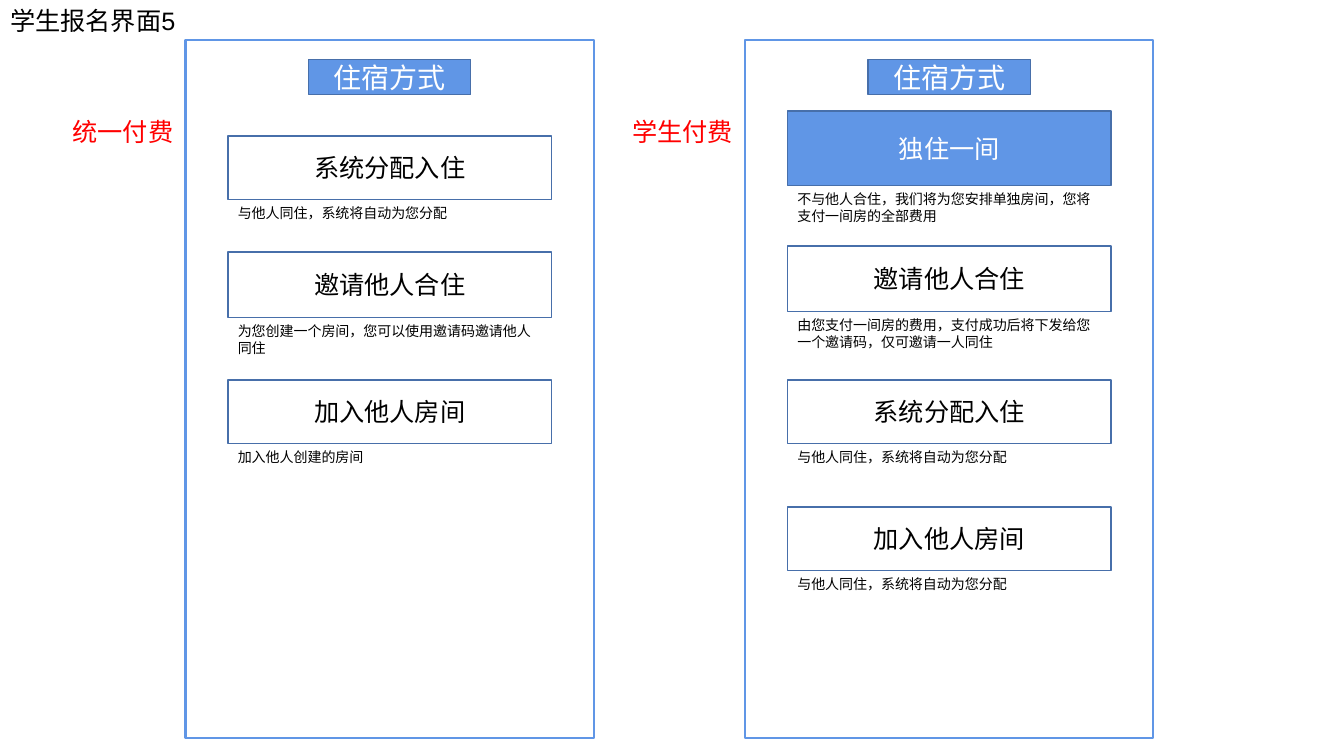
from dataclasses import dataclass

from pptx import Presentation
from pptx.dml.color import RGBColor
from pptx.enum.shapes import MSO_SHAPE
from pptx.enum.text import MSO_ANCHOR, MSO_AUTO_SIZE, PP_ALIGN
from pptx.shapes.autoshape import Shape
from pptx.slide import Slide
from pptx.util import Inches, Pt

RECTANGLE = MSO_SHAPE.RECTANGLE
TOP, MIDDLE = MSO_ANCHOR.TOP, MSO_ANCHOR.MIDDLE
LEFT, CENTER = PP_ALIGN.LEFT, PP_ALIGN.CENTER
GROW = MSO_AUTO_SIZE.SHAPE_TO_FIT_TEXT

COLORS = {
    "accent": "6096E6",
    "outline": "476FAA",
    "text": "000000",
    "light": "FFFFFF",
    "label": "FF0000",
}
FONT = "Arial"
TITLE_ONLY = 5
FRAME_TOP, FRAME_WIDTH, FRAME_HEIGHT = 0.4, 4.05, 6.92
HEADING_TOP, HEADING_WIDTH, HEADING_HEIGHT = 0.59, 1.61, 0.35
OPTION_WIDTH = 3.21
LABEL_TOP, LABEL_WIDTH, LABEL_HEIGHT = 1.1, 1.22, 0.4
CAPTION_LINE_CHARACTERS = 21
SHARED_ROOM = "与他人同住，系统将自动为您分配"


@dataclass(frozen=True)
class Option:
    top: float
    height: float
    name: str
    caption: str
    selected: bool = False


@dataclass(frozen=True)
class Panel:
    left: float
    label: str
    options: tuple[Option, ...]


PANELS = (
    Panel(1.84, "统一付费", (
        Option(1.35, 0.63, "系统分配入住", SHARED_ROOM),
        Option(2.5, 0.65, "邀请他人合住", "为您创建一个房间，您可以使用邀请码邀请他人同住"),
        Option(3.77, 0.63, "加入他人房间", "加入他人创建的房间"),
    )),
    Panel(7.39, "学生付费", (
        Option(1.1, 0.74, "独住一间",
               "不与他人合住，我们将为您安排单独房间，您将支付一间房的全部费用", True),
        Option(2.44, 0.65, "邀请他人合住",
               "由您支付一间房的费用，支付成功后将下发给您一个邀请码，仅可邀请一人同住"),
        Option(3.77, 0.63, "系统分配入住", SHARED_ROOM),
        Option(5.03, 0.63, "加入他人房间", SHARED_ROOM),
    )),
)


def color(name: str) -> RGBColor:
    return RGBColor.from_string(COLORS[name])


def write(box: Shape, text: str, size: float, color_name: str,
          align: PP_ALIGN = LEFT, anchor: MSO_ANCHOR = TOP) -> None:
    frame = box.text_frame
    frame.text = text
    frame.word_wrap = True
    frame.vertical_anchor = anchor
    para = frame.paragraphs[0]
    para.alignment = align
    font = para.runs[0].font
    for attribute, value in {"name": FONT, "size": Pt(size)}.items():
        setattr(font, attribute, value)
    font.color.rgb = color(color_name)


def add_rectangle(page: Slide, left: float, top: float, width: float, height: float,
                  line: str, line_width: float, filled: bool = False) -> Shape:
    box = page.shapes.add_shape(
        RECTANGLE, Inches(left), Inches(top), Inches(width), Inches(height))
    box.shadow.inherit = False
    if filled:
        box.fill.solid()
        box.fill.fore_color.rgb = color("accent")
    else:
        box.fill.background()
    box.line.color.rgb = color(line)
    box.line.width = Pt(line_width)
    return box


def add_text(page: Slide, left: float, top: float, width: float, height: float,
             text: str, size: float, color_name: str) -> None:
    box = page.shapes.add_textbox(
        Inches(left), Inches(top), Inches(width), Inches(height))
    write(box, text, size, color_name)
    box.text_frame.auto_size = GROW


def add_option(page: Slide, left: float, option: Option) -> None:
    """Draw a choice button with its caption directly below."""
    button = add_rectangle(page, left, option.top, OPTION_WIDTH, option.height,
                           "outline", 1, option.selected)
    write(button, option.name, 18, "light" if option.selected else "text", CENTER, MIDDLE)
    caption_height = 0.44 if len(option.caption) > CAPTION_LINE_CHARACTERS else 0.27
    add_text(page, left, option.top + option.height, OPTION_WIDTH, caption_height,
             option.caption, 10, "text")


def add_panel(page: Slide, panel: Panel) -> None:
    add_rectangle(page, panel.left, FRAME_TOP, FRAME_WIDTH, FRAME_HEIGHT, "accent", 1.5)
    heading_left = panel.left + (FRAME_WIDTH - HEADING_WIDTH) / 2
    heading = add_rectangle(page, heading_left, HEADING_TOP, HEADING_WIDTH,
                            HEADING_HEIGHT, "outline", 1, True)
    write(heading, "住宿方式", 20, "light", CENTER, MIDDLE)
    option_left = panel.left + (FRAME_WIDTH - OPTION_WIDTH) / 2
    for option in panel.options:
        add_option(page, option_left, option)
    add_text(page, panel.left - LABEL_WIDTH, LABEL_TOP, LABEL_WIDTH, LABEL_HEIGHT,
             panel.label, 18, "label")


def add_title(page: Slide) -> None:
    title = page.shapes.title
    bounds = {"left": 0, "top": 0, "width": 1.84, "height": 0.4}
    for attribute, value in bounds.items():
        setattr(title, attribute, Inches(value))
    write(title, "学生报名界面5", 18, "text")
    title.text_frame.auto_size = GROW


def main() -> None:
    deck = Presentation()
    deck.slide_width = Inches(13.33)
    deck.slide_height = Inches(7.5)
    page = deck.slides.add_slide(deck.slide_layouts[TITLE_ONLY])
    add_title(page)
    for panel in PANELS:
        add_panel(page, panel)
    deck.save("out.pptx")


if __name__ == "__main__":
    main()
